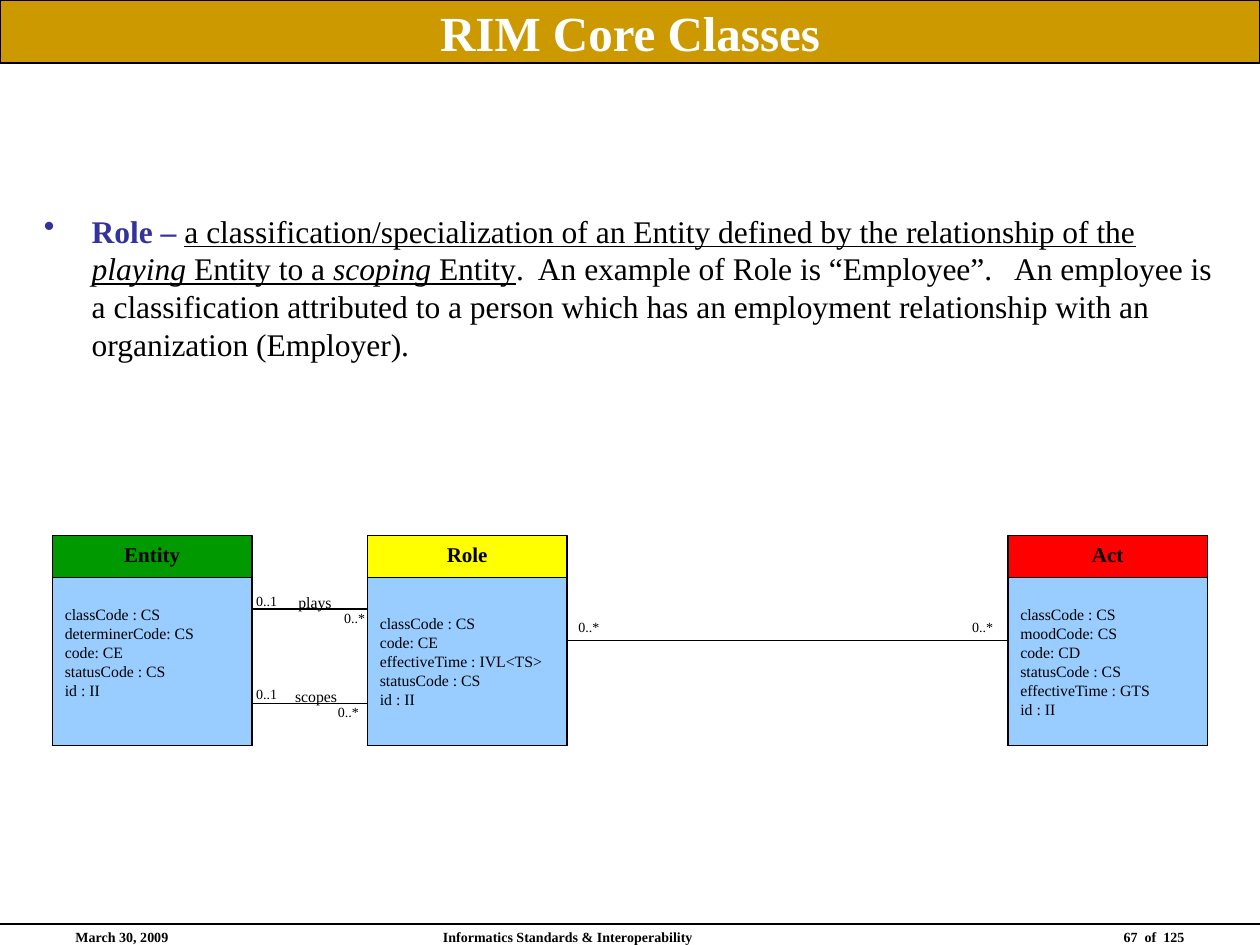
"""Build the RIM Core Classes slide with its Entity, Role and Act class diagram."""
from dataclasses import dataclass

from lxml import etree
from pptx import Presentation
from pptx.dml.color import RGBColor
from pptx.enum.shapes import MSO_CONNECTOR, MSO_SHAPE
from pptx.enum.text import MSO_ANCHOR, PP_ALIGN
from pptx.oxml.ns import qn
from pptx.util import Inches, Pt

RECTANGLE = MSO_SHAPE.RECTANGLE
STRAIGHT = MSO_CONNECTOR.STRAIGHT
TOP, MIDDLE = MSO_ANCHOR.TOP, MSO_ANCHOR.MIDDLE
LEFT, CENTER, RIGHT = PP_ALIGN.LEFT, PP_ALIGN.CENTER, PP_ALIGN.RIGHT


@dataclass(frozen=True)
class Theme:
    font: str = "Times New Roman"
    ink: str = "000000"
    white: str = "FFFFFF"
    gold: str = "CC9900"
    accent: str = "333399"
    entity: str = "009900"
    role: str = "FFFF00"
    act: str = "FF0000"
    attributes: str = "99CCFF"
    title_size: int = 28
    body_size: int = 18
    class_size: int = 12
    attribute_size: int = 9
    small_size: int = 8
    line_width: float = 0.75


theme = Theme()
presentation = Presentation()
presentation.slide_width, presentation.slide_height = Inches(10), Inches(7.5)
slide = presentation.slides.add_slide(presentation.slide_layouts[6])
column = presentation.slide_width / 120
row = presentation.slide_height / 90


def add_box(place, lines, size, color=theme.ink, bold=False, fill=None,
            align=LEFT, anchor=TOP, wrap=False):
    left, top, width, height = place
    frame = (int(left * column), int(top * row), int(width * column), int(height * row))
    if fill:
        shape = slide.shapes.add_shape(RECTANGLE, *frame)
        shape.shadow.inherit = False
        shape.fill.solid()
        shape.fill.fore_color.rgb = RGBColor.from_string(fill)
        shape.line.color.rgb = RGBColor.from_string(theme.ink)
        shape.line.width = Pt(theme.line_width)
    else:
        shape = slide.shapes.add_textbox(*frame)
    text_frame = shape.text_frame
    text_frame.word_wrap = wrap
    text_frame.vertical_anchor = anchor
    for index, line in enumerate(lines):
        paragraph = text_frame.paragraphs[0] if index == 0 else text_frame.add_paragraph()
        paragraph.alignment = align
        run = paragraph.add_run()
        run.text = line
        run.font.name, run.font.size, run.font.bold = theme.font, Pt(size), bold
        run.font.color.rgb = RGBColor.from_string(color)
    return shape


def add_line(start, end, level):
    line = slide.shapes.add_connector(
        STRAIGHT, int(start * column), int(level * row), int(end * column), int(level * row))
    line.line.color.rgb = RGBColor.from_string(theme.ink)
    line.line.width = Pt(theme.line_width)
    etree.SubElement(line.element.spPr, qn("a:effectLst"))


add_line(0, 120, 88)
footers = [
    (6, 28, "March 30, 2009", LEFT),
    (41, 38, "Informatics Standards & Interoperability", LEFT),
    (86, 28, "67  of  125", RIGHT),
]
for left, width, text, align in footers:
    add_box((left, 87.8, width, 2), [text], theme.small_size, bold=True, align=align, wrap=True)

for start, end, level in [(38, 22, 67), (36, 20, 58), (45, 106, 61)]:
    add_line(start, end, level)

multiplicities = [
    (23.2, 55.8, "0..1"), (31.6, 57.5, "0..*"),
    (23.2, 64.7, "0..1"), (31, 66.4, "0..*"),
    (53.9, 58.3, "0..*"), (91.4, 58.3, "0..*"),
]
for left, top, text in multiplicities:
    add_box((left, top, 4.4, 2.8), [text], theme.small_size)

for left, top, width, text in [(27.2, 56, 5.6, "plays"), (26.9, 65, 6.4, "scopes")]:
    label = add_box((left, top, width, 2.9), [text], theme.attribute_size, align=CENTER)
    label.text_frame.paragraphs[0].line_spacing = 0.93

classes = [
    (5, "Entity", theme.entity, 0.2,
     ["classCode : CS", "determinerCode: CS", "code: CE", "statusCode : CS", "id : II"]),
    (35, "Role", theme.role, 0.05,
     ["classCode : CS", "code: CE", "effectiveTime : IVL<TS>", "statusCode : CS", "id : II"]),
    (96, "Act", theme.act, 0.05,
     ["classCode : CS", "moodCode: CS", "code: CD", "statusCode : CS",
      "effectiveTime : GTS", "id : II"]),
]
for left, name, fill, bottom_inset, attributes in classes:
    add_box((left, 51, 19, 20), [name], theme.class_size, bold=True, fill=fill, align=CENTER)
    panel = add_box((left, 55, 19, 16), attributes, theme.attribute_size,
                    fill=theme.attributes, anchor=MIDDLE)
    panel.text_frame.margin_bottom = Inches(bottom_inset)

add_box((0, 0, 120, 6), ["RIM Core Classes"], theme.title_size, theme.white, bold=True,
        fill=theme.gold, align=CENTER, anchor=MIDDLE, wrap=True)

definition = add_box((3, 9, 114, 36.7), ["Role – "], theme.body_size, theme.accent,
                     bold=True, anchor=MIDDLE, wrap=True)
paragraph = definition.text_frame.paragraphs[0]
properties = paragraph._p.get_or_add_pPr()
properties.set("marL", str(Inches(0.38)))
properties.set("indent", str(-Inches(0.38)))
etree.SubElement(properties, qn("a:buChar"), char="•")
definition_runs = [
    ("a classification/specialization of an Entity defined by the relationship of the ", True, False),
    ("playing", True, True),
    (" Entity to a ", True, False),
    ("scoping", True, True),
    (" Entity", True, False),
    (".  An example of Role is “Employee”.   An employee is a classification attributed to a "
     "person which has an employment relationship with an organization (Employer).", False, False),
]
for text, underline, italic in definition_runs:
    run = paragraph.add_run()
    run.text = text
    run.font.name, run.font.size = theme.font, Pt(theme.body_size)
    run.font.underline, run.font.italic = underline, italic
    run.font.color.rgb = RGBColor.from_string(theme.ink)

presentation.save("out.pptx")
